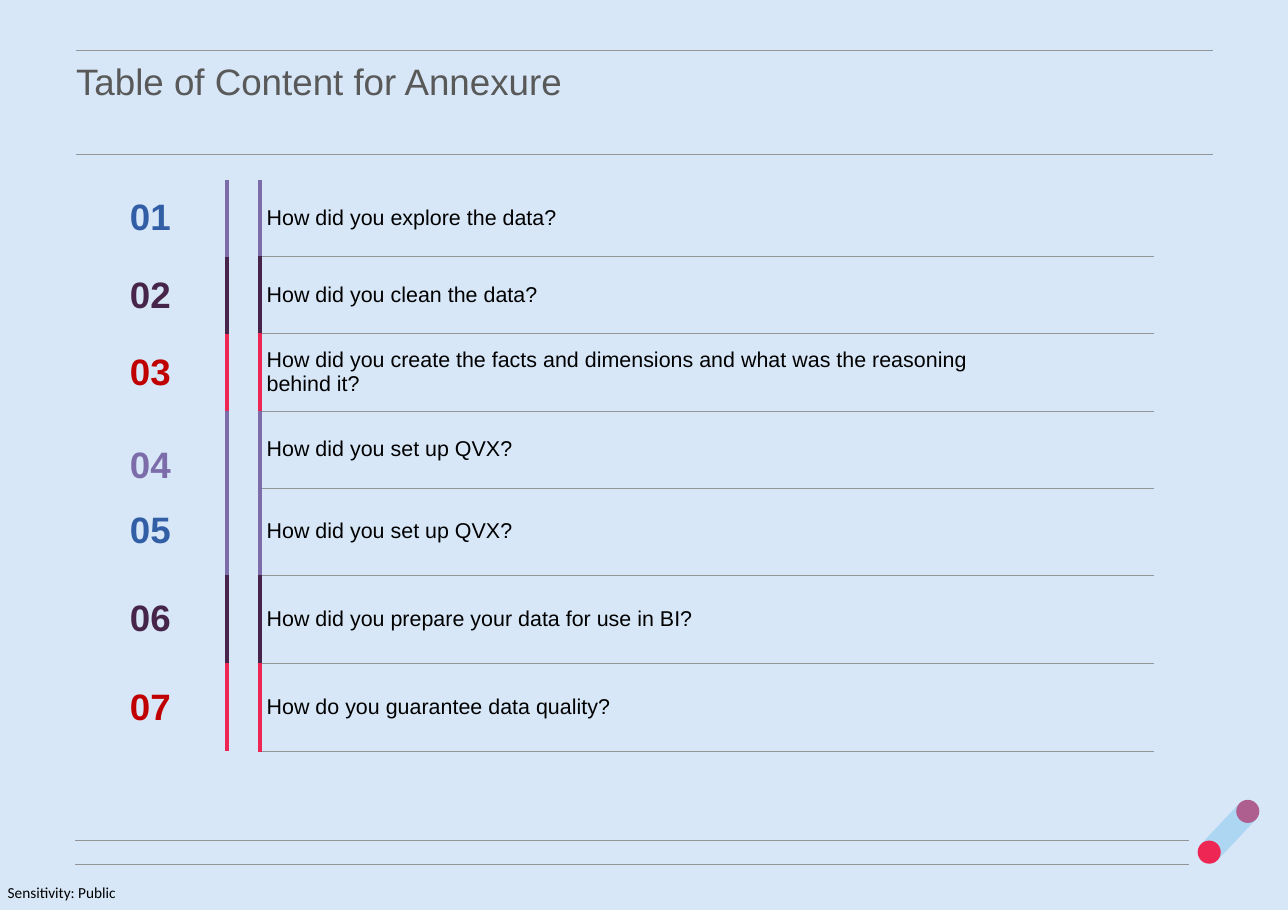
import pptx
import pptx.dml.color
import pptx.enum.shapes
import pptx.enum.text
import pptx.oxml.ns
import pptx.util
from lxml import etree

W, H = 11.69, 8.26
GREY, BLUE, PLUM, RED, PINK, VIOLET = "939598", "315EA5", "47254B", "C00000", "EE2653", "7C6CAA"
NO_STYLE = "{2D5ABB26-0587-4C30-8999-92F81FD0307C}"
COLS = (1.39, 0.3, 8.11)
MIDDLE = pptx.enum.text.MSO_ANCHOR.MIDDLE
BOTTOM = pptx.enum.text.MSO_ANCHOR.BOTTOM
SHAPE = pptx.enum.shapes.MSO_SHAPE

# number, number colour, rule colour, anchor of the number, lines of the question
FIRST = [
    ("01", BLUE, VIOLET, MIDDLE, ["How did you explore the data?"]),
    ("02", PLUM, PLUM, MIDDLE, ["How did you clean the data?"]),
    ("03", RED, PINK, MIDDLE, ["How did you create the facts and dimensions and what was the reasoning",
                               "behind it?"]),
    ("04", VIOLET, VIOLET, BOTTOM, ["How did you set up QVX?"]),
]
SECOND = [
    ("05", BLUE, VIOLET, MIDDLE, ["How did you set up QVX?"]),
    ("06", PLUM, PLUM, MIDDLE, ["How did you prepare your data for use in BI?"]),
    ("07", RED, PINK, MIDDLE, ["How do you guarantee data quality?"]),
]


def inch(*values):
    return [pptx.util.Inches(v) for v in values]


def rgb(color):
    return pptx.dml.color.RGBColor.from_string(color)


def add_text(p, text, size, color, font="Arial", bold=False):
    r = p.add_run()
    r.text = text
    r.font.size = pptx.util.Pt(size)
    r.font.name = font
    r.font.bold = bold
    r.font.color.rgb = rgb(color)


def add_rule(slide, x, y, width):
    c = slide.shapes.add_connector(pptx.enum.shapes.MSO_CONNECTOR.STRAIGHT, *inch(x, y, x + width, y))
    c.line.color.rgb = rgb(GREY)
    c.line.width = pptx.util.Pt(0.75)
    etree.SubElement(c._element.spPr, pptx.oxml.ns.qn("a:effectLst"))


def add_rules(slide, x, y, width, gap):
    for top in (y, y + gap):
        add_rule(slide, x, top, width)


def add_plain(slide, kind, box, color):
    sp = slide.shapes.add_shape(kind, *inch(*box))
    sp.shadow.inherit = False
    sp.fill.solid()
    sp.fill.fore_color.rgb = rgb(color)
    sp.line.fill.background()
    return sp


def add_header(slide, x, y, width, height):
    add_rules(slide, x, y, width, height)
    sp = slide.shapes.title
    sp.left, sp.top, sp.width, sp.height = inch(x, y + 0.02, width, height - 0.09)
    tf = sp.text_frame
    tf.word_wrap = True
    tf.auto_size = pptx.enum.text.MSO_AUTO_SIZE.NONE
    tf.vertical_anchor = pptx.enum.text.MSO_ANCHOR.TOP
    tf.margin_left = tf.margin_right = 0
    p = tf.paragraphs[0]
    p.alignment = pptx.enum.text.PP_ALIGN.LEFT
    add_text(p, "Table of Content for Annexure", 24, "595959")


def add_border(cell, side, color, width):
    qn = pptx.oxml.ns.qn
    ln = etree.SubElement(cell._tc.get_or_add_tcPr(), qn("a:ln" + side), w=str(pptx.util.Pt(width)))
    fill = etree.SubElement(ln, qn("a:solidFill"))
    etree.SubElement(fill, qn("a:srgbClr"), val=color)


def fill_cell(cell, lines, size, color, align, anchor, bold=False):
    cell.margin_left, cell.margin_right, cell.margin_top, cell.margin_bottom = inch(0.06, 0.06, 0.02, 0.02)
    cell.vertical_anchor = anchor
    tf = cell.text_frame
    for i, line in enumerate(lines):
        p = tf.add_paragraph() if i else tf.paragraphs[0]
        p.alignment = align
        add_text(p, line, size, color, bold=bold)


def add_questions(slide, x, y, row_height, rows):
    align = pptx.enum.text.PP_ALIGN
    frame = slide.shapes.add_table(len(rows), len(COLS), *inch(x, y, sum(COLS), row_height * len(rows)))
    table = frame.table
    table.first_row = table.horz_banding = False
    table._tbl.tblPr.find(pptx.oxml.ns.qn("a:tableStyleId")).text = NO_STYLE
    for column, width in zip(table.columns, COLS):
        column.width = pptx.util.Inches(width)
    for i, (number, color, rule, anchor, lines) in enumerate(rows):
        table.rows[i].height = pptx.util.Inches(row_height)
        label, gap, question = table.rows[i].cells
        fill_cell(label, [number], 24, color, align.CENTER, anchor, True)
        fill_cell(question, lines, 14, "000000", align.LEFT, MIDDLE)
        add_border(label, "R", rule, 3)
        add_border(gap, "L", rule, 3)
        if i:
            add_border(question, "T", GREY, 0.5)
        add_border(question, "B", GREY, 0.5)
        for cell in (label, gap, question):
            cell.fill.background()


def add_ornament(slide, x, y, width, height):
    """Slanted bar joining a dot at the top right to one at the bottom left."""
    dot, length = 0.21, 0.51
    bar = add_plain(slide, SHAPE.RECTANGLE,
                    (x + (width - dot) / 2, y + (height - length) / 2, dot, length), "ADD6F2")
    bar.rotation = 43.3
    add_plain(slide, SHAPE.OVAL, (x + width - dot, y, dot, dot), "AF5E90")
    add_plain(slide, SHAPE.OVAL, (x, y + height - dot, dot, dot), PINK)


def add_footer(slide, x, y, width, height):
    add_rules(slide, x, y, width, height)
    add_ornament(slide, x + width + 0.08, y - 0.37, 0.56, 0.58)
    tf = slide.shapes.add_textbox(*inch(0.07, H - 0.24, 1.01, 0.17)).text_frame
    tf.margin_left = tf.margin_right = tf.margin_top = tf.margin_bottom = 0
    tf.word_wrap = False
    add_text(tf.paragraphs[0], "Sensitivity: Public", 10, "000000", "Calibri")


def main():
    prs = pptx.Presentation()
    prs.slide_width, prs.slide_height = inch(W, H)
    slide = prs.slides.add_slide(prs.slide_layouts[5])
    slide.background.fill.solid()
    slide.background.fill.fore_color.rgb = rgb("D7E7F7")
    add_header(slide, 0.69, 0.46, 10.32, 0.94)
    add_questions(slide, 0.67, 1.63, 0.7, FIRST)
    add_questions(slide, 0.67, 4.42, 0.8, SECOND)
    add_footer(slide, 0.68, 7.63, 10.11, 0.22)
    prs.save("out.pptx")


if __name__ == "__main__":
    main()
